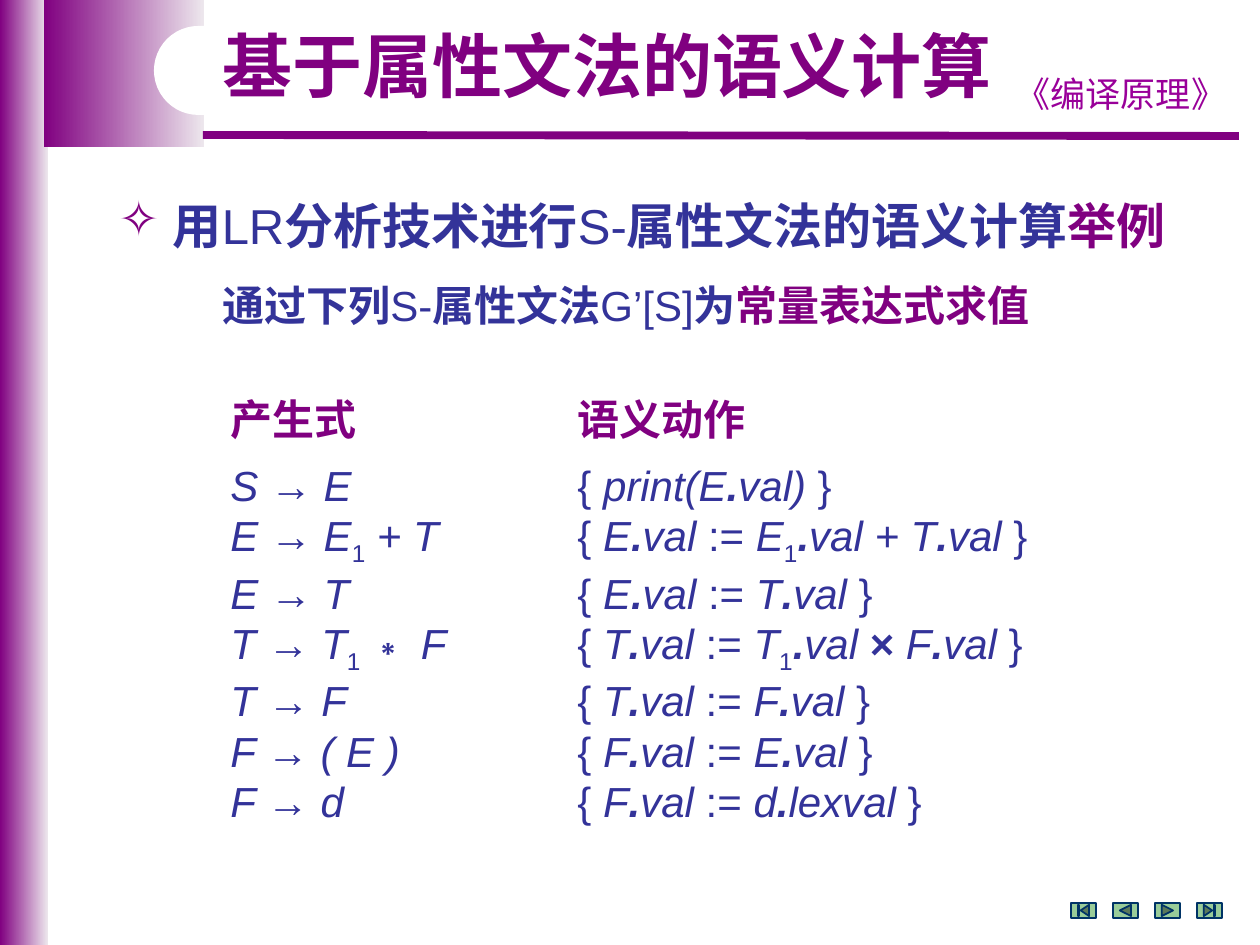
from lxml.etree import SubElement
from pptx import Presentation
from pptx.dml.color import RGBColor
from pptx.enum.shapes import MSO_CONNECTOR, MSO_SHAPE
from pptx.enum.text import MSO_ANCHOR, MSO_AUTO_SIZE, PP_ALIGN
from pptx.oxml.ns import qn
from pptx.util import Emu, Pt

PX = 914400 // 126
PURPLE, BLUE = "800080", "333399"
UPRIGHT = {"{ ", " }", ":=", "→", "∗"}

# Pieces between bars are separate runs; rule_style() gives each its look.
PRODUCTIONS = [
    "S |→| E",
    "E |→| E|1| + T",
    "E |→| T",
    "T |→| T|1 |∗| F",
    "T |→| F",
    "F |→| ( E )",
    "F |→| d",
]
ACTIONS = [
    "{ |print(E|.|val)| }",
    "{ |E|.|val |:=| E|1|.|val + T|.|val| }",
    "{ |E|.|val |:=| T|.|val| }",
    "{ |T|.|val |:=| T|1|.|val |×| F|.|val| }",
    "{ |T|.|val |:=| F|.|val| }",
    "{ |F|.|val |:=| E|.|val| }",
    "{ |F|.|val |:=| d|.|lexval| }",
]


def px(*lengths):
    return [Emu(length * PX) for length in lengths]


def color(hex_string):
    return RGBColor.from_string(hex_string)


def add_span(para, text, size, hue, bold=False, italic=False, subscript=False, font="Arial"):
    span = para.add_run()
    span.text = text
    span.font.size = Pt(size)
    span.font.bold = bold
    span.font.italic = italic
    span.font.color.rgb = color(hue)
    span.font.name = font
    properties = span.font._element
    SubElement(properties, qn("a:ea")).set("typeface", font)
    if subscript:
        properties.set("baseline", "-25000")


def prepare_frame(box):
    frame = box.text_frame
    frame.word_wrap = True
    frame.auto_size = MSO_AUTO_SIZE.SHAPE_TO_FIT_TEXT
    frame.vertical_anchor = MSO_ANCHOR.TOP
    return frame


def add_text_box(slide, left, top, width, height):
    box = slide.shapes.add_textbox(*px(left, top, width, height))
    return prepare_frame(box)


def set_indent(para, margin, first_line, bullet=None):
    properties = para._p.get_or_add_pPr()
    properties.set("marL", str(margin * PX))
    properties.set("indent", str(first_line * PX))
    if bullet:
        SubElement(properties, qn("a:buChar")).set("char", bullet)


def add_shape(slide, kind, left, top, width, height, fill=None, line=None):
    """Add a preset shape; without a fill it gets the purple fade."""
    shape = slide.shapes.add_shape(kind, *px(left, top, width, height))
    shape.shadow.inherit = False
    if fill:
        shape.fill.solid()
        shape.fill.fore_color.rgb = color(fill)
    else:
        shape.fill.gradient()
        shape.fill.gradient_angle = 0
        for stop, hue, position in zip(shape.fill.gradient_stops, (PURPLE, "EDE7ED"), (0, 1)):
            stop.color.rgb = color(hue)
            stop.position = position
    if line:
        shape.line.color.rgb = color(line)
        shape.line.width = Pt(1)
    else:
        shape.line.fill.background()
    return shape


def add_frame_decoration(slide):
    add_shape(slide, MSO_SHAPE.RECTANGLE, 0, 0, 48, 945)
    add_shape(slide, MSO_SHAPE.RECTANGLE, 44, 0, 160, 147)
    rule = slide.shapes.add_connector(MSO_CONNECTOR.STRAIGHT, *px(203, 135, 1239, 136))
    rule.line.color.rgb = color(PURPLE)
    rule.line.width = Pt(4.5)
    SubElement(rule._element.spPr, qn("a:effectLst"))
    para = add_text_box(slide, 997, 66, 248, 54).paragraphs[0]
    para.alignment = PP_ALIGN.CENTER
    add_span(para, "《编译原理》", 20, "990099", font="Noto Sans CJK SC")
    notch = add_shape(slide, MSO_SHAPE.ROUNDED_RECTANGLE, 154, 26, 456, 89, "FFFFFF")
    notch.adjustments[0] = 0.5


def add_title(slide, text):
    title = slide.shapes.title
    title.left, title.top, title.width, title.height = px(210, 26, 805, 88)
    slide.shapes._spTree.append(title._element)  # in front of the white notch
    para = prepare_frame(title).paragraphs[0]
    para.alignment = PP_ALIGN.LEFT
    para.line_spacing = 0.9
    add_span(para, text, 40, PURPLE, bold=True)


def add_mixed_text(para, size, pieces, ending):
    """Add blue pieces, bold for Chinese and regular for Latin, then a purple ending."""
    for index, piece in enumerate(pieces):
        add_span(para, piece, size, BLUE, bold=index % 2 == 0)
    add_span(para, ending, size, PURPLE, bold=True)


def rule_style(piece):
    return {
        "bold": piece in (".", "×"),
        "italic": piece not in UPRIGHT and piece != "×" and piece.strip() != "1",
        "subscript": piece.strip() == "1",
    }


def add_rule_column(slide, left, width, heading, rules):
    frame = add_text_box(slide, left, 387, width, 437)
    para = frame.paragraphs[0]
    para.space_after = Pt(9)
    add_span(para, heading, 24, PURPLE, bold=True)
    for rule in rules:
        para = frame.add_paragraph()
        for piece in rule.split("|"):
            add_span(para, piece, 24, BLUE, **rule_style(piece))


def add_navigation(slide):
    kinds = [
        MSO_SHAPE.ACTION_BUTTON_BEGINNING,
        MSO_SHAPE.ACTION_BUTTON_BACK_OR_PREVIOUS,
        MSO_SHAPE.ACTION_BUTTON_FORWARD_OR_NEXT,
        MSO_SHAPE.ACTION_BUTTON_END,
    ]
    for index, kind in enumerate(kinds):
        add_shape(slide, kind, 1071 + 42 * index, 903, 25, 15, "99CC99", "003366")


def main():
    deck = Presentation()
    deck.slide_width, deck.slide_height = px(1260, 945)
    slide = deck.slides.add_slide(deck.slide_layouts[5])
    add_frame_decoration(slide)
    add_title(slide, "基于属性文法的语义计算")

    topic = add_text_box(slide, 106, 189, 1113, 72).paragraphs[0]
    set_indent(topic, 30, -30, "✧")
    add_span(topic, " ", 28, PURPLE, bold=True)
    add_mixed_text(topic, 28, ["用", "LR", "分析技术进行", "S-", "属性文法的语义计算"], "举例")

    task = add_text_box(slide, 152, 273, 1013, 63).paragraphs[0]
    set_indent(task, 58, 0)
    add_mixed_text(task, 24, ["通过下列", "S-", "属性文法", "G’[S]", "为"], "常量表达式求值")

    add_rule_column(slide, 218, 318, "产生式", PRODUCTIONS)
    add_rule_column(slide, 565, 507, "语义动作", ACTIONS)
    add_navigation(slide)
    deck.save("out.pptx")


if __name__ == "__main__":
    main()
